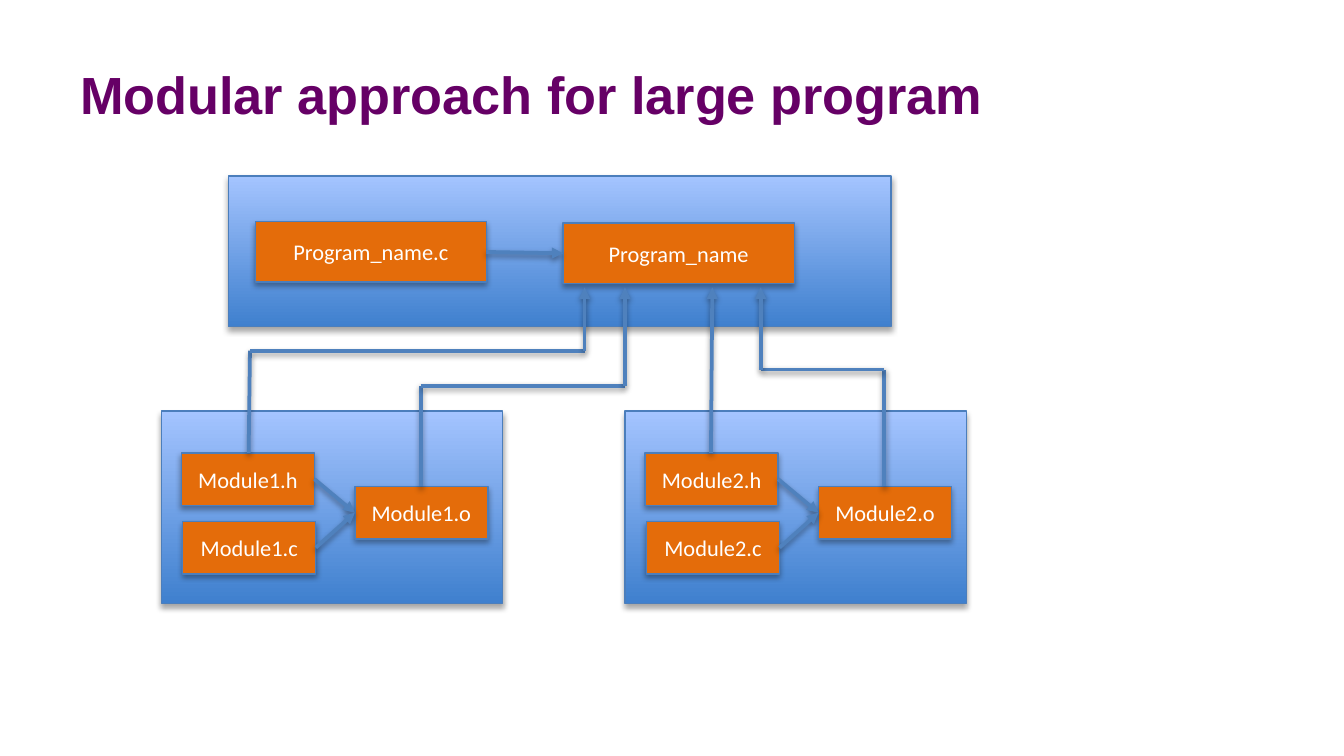
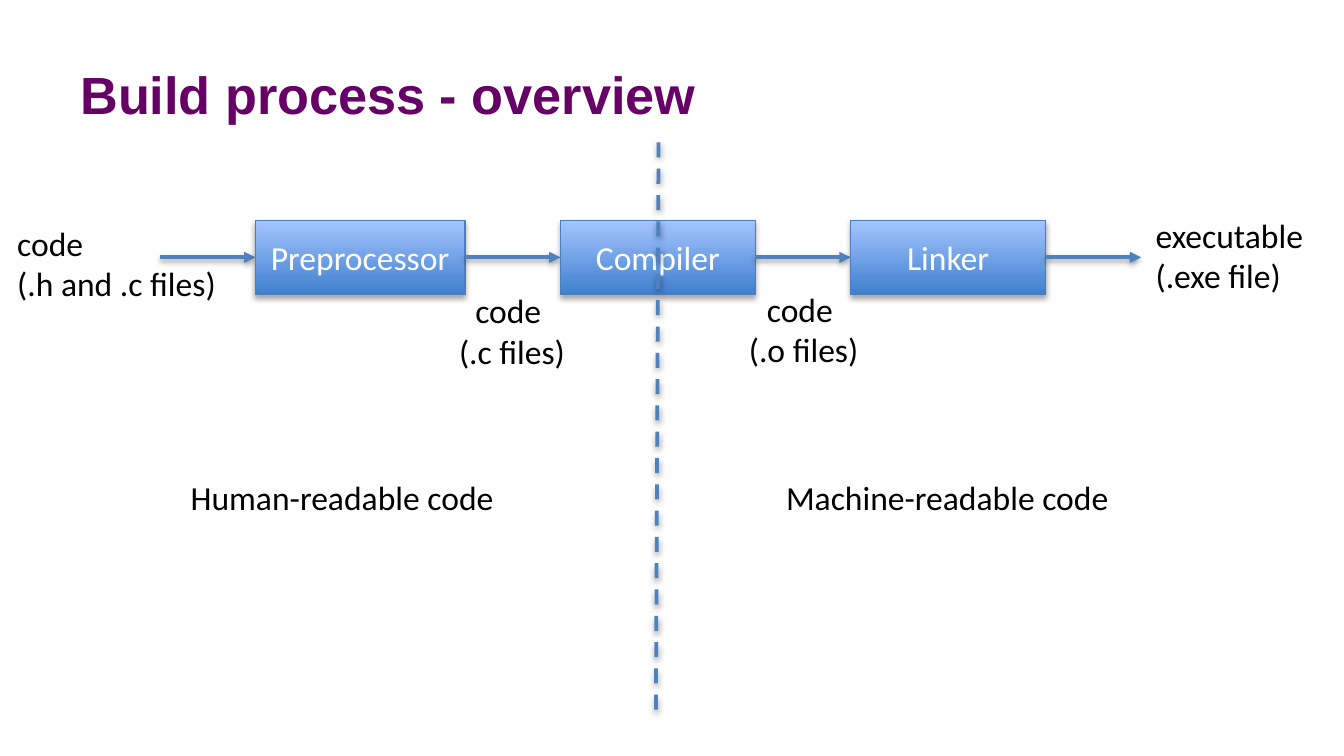
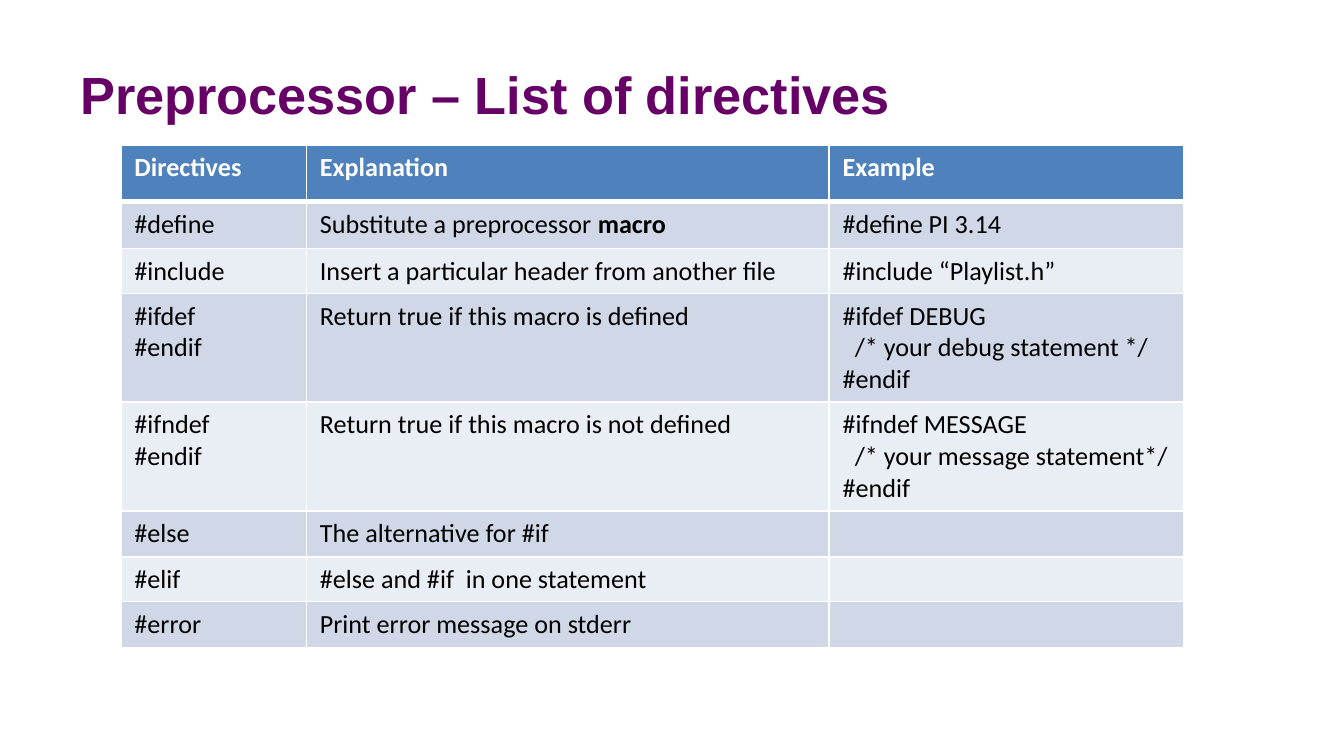
"""Build three slides on modular C programs, the build process and preprocessor directives."""
import lxml.etree
import pptx
import pptx.dml.color
import pptx.enum.dml
import pptx.enum.shapes
import pptx.enum.text
import pptx.oxml.ns
import pptx.util

Inches = pptx.util.Inches
Pt = pptx.util.Pt
RGBColor = pptx.dml.color.RGBColor
ALIGN = pptx.enum.text.PP_ALIGN
ANCHOR = pptx.enum.text.MSO_ANCHOR
RECTANGLE = pptx.enum.shapes.MSO_SHAPE.RECTANGLE
STRAIGHT = pptx.enum.shapes.MSO_CONNECTOR.STRAIGHT
qn = pptx.oxml.ns.qn

PURPLE = RGBColor(0x66, 0x00, 0x66)
ORANGE = RGBColor(0xE4, 0x6C, 0x0A)
DEEP_BLUE = RGBColor(0x3F, 0x80, 0xCE)
PALE_BLUE = RGBColor(0xA4, 0xC4, 0xFF)
OUTLINE = RGBColor(0x4B, 0x7E, 0xBC)
BLUE = RGBColor(0x4F, 0x81, 0xBD)
BAND_DARK = RGBColor(0xD0, 0xD8, 0xE8)
BAND_LIGHT = RGBColor(0xE9, 0xED, 0xF4)
WHITE = RGBColor(0xFF, 0xFF, 0xFF)
BLACK = RGBColor(0x00, 0x00, 0x00)

PROGRAM_PANEL = (1.7, 1.31, 4.93, 1.12)
PROGRAM_FILES = [("Program_name.c", 1.9, 1.65), ("Program_name", 4.19, 1.66)]
PROGRAM_FILE_SIZE = (1.72, 0.45)
MODULES = [("Module1", 1.2), ("Module2", 4.65)]
MODULE_TOP, MODULE_SIZE = 3.06, (2.54, 1.43)
MODULE_FILES = [("h", 0.15, 0.31), ("c", 0.16, 0.82), ("o", 1.44, 0.56)]
MODULE_FILE_SIZE = (0.99, 0.39)
ROUTES = [
    [(1.85, 3.37), (1.86, 2.61), (4.35, 2.61), (4.35, 2.14)],
    [(3.13, 3.62), (3.13, 2.87), (4.65, 2.87), (4.65, 2.14)],
    [(5.29, 3.37), (5.3, 2.14)],
    [(6.58, 3.62), (6.58, 2.75), (5.66, 2.75), (5.66, 2.14)],
]

STAGES = [("Preprocessor", 1.56), ("Compiler", 1.45), ("Linker", 1.45)]
STAGE_LEFT, STAGE_TOP, STAGE_HEIGHT, STAGE_GAP = 1.9, 1.64, 0.55, 0.71
CAPTIONS = [
    (["code ", "(.h and .c files)"], (0.03, 1.61, 1.73, 0.71), ALIGN.LEFT),
    (["executable ", "(.exe file)"], (8.5, 1.55, 1.45, 0.71), ALIGN.LEFT),
    (["code ", "(.c files)"], (3.24, 2.11, 1.14, 0.71), ALIGN.CENTER),
    (["code ", "(.o files)"], (5.41, 2.1, 1.14, 0.71), ALIGN.CENTER),
    (["Human-readable code"], (1.32, 3.5, 2.75, 0.4), ALIGN.LEFT),
    (["Machine-readable code"], (5.75, 3.5, 2.75, 0.4), ALIGN.LEFT),
]
DIVIDER = ((4.9, 1.06), (4.88, 5.32))

HEADERS = ["Directives", "Explanation", "Example"]
STRONG_WORD = "macro"
DIRECTIVES = [
    (["#define"], ["Substitute a preprocessor macro"], ["#define PI 3.14"]),
    (["#include"], ["Insert a particular header from another file"],
     ["#include “Playlist.h”"]),
    (["#ifdef", "#endif"], ["Return true if this macro is defined"],
     ["#ifdef DEBUG", "/* your debug statement */", "#endif"]),
    (["#ifndef", "#endif"], ["Return true if this macro is not defined"],
     ["#ifndef MESSAGE", "/* your message statement*/", "#endif"]),
    (["#else"], ["The alternative for #if"], []),
    (["#elif"], ["#else and #if  in one statement"], []),
    (["#error"], ["Print error message on stderr"], []),
]
COLUMN_WIDTHS = [1.38, 3.89, 2.64]
ROW_HEIGHTS = [0.42, 0.35, 0.33, 0.81, 0.81, 0.34, 0.33, 0.34]
CODE_INDENT = Inches(0.09)


def add_run(paragraph, text, size, color, bold=False, font="Calibri"):
    run = paragraph.add_run()
    run.text = text
    run.font.name, run.font.size, run.font.bold = font, Pt(size), bold
    run.font.color.rgb = color


def paragraphs_for(frame, lines):
    for index, line in enumerate(lines):
        yield (frame.add_paragraph() if index else frame.paragraphs[0]), line


def add_text(slide, lines, box, align=ALIGN.LEFT):
    frame = slide.shapes.add_textbox(*map(Inches, box)).text_frame
    frame.word_wrap = True
    frame.auto_size = pptx.enum.text.MSO_AUTO_SIZE.SHAPE_TO_FIT_TEXT
    for paragraph, line in paragraphs_for(frame, lines):
        paragraph.alignment = align
        add_run(paragraph, line, 18, BLACK)


def add_shadow(shape, opacity, distance):
    effects = lxml.etree.SubElement(shape._element.spPr, qn("a:effectLst"))
    shadow = lxml.etree.SubElement(effects, qn("a:outerShdw"), blurRad=str(Pt(3.1)),
                                   dist=str(Pt(distance)), dir="5400000", rotWithShape="0")
    color = lxml.etree.SubElement(shadow, qn("a:srgbClr"), val=str(BLACK))
    lxml.etree.SubElement(color, qn("a:alpha"), val=str(opacity * 1000))


def add_box(shapes, box, text="", size=12, color=None):
    shape = shapes.add_shape(RECTANGLE, *map(Inches, box))
    if color is None:
        shape.fill.gradient()
        shape.fill.gradient_angle = 90
        for stop, shade in zip(shape.fill.gradient_stops, (DEEP_BLUE, PALE_BLUE)):
            stop.color.rgb = shade
    else:
        shape.fill.solid()
        shape.fill.fore_color.rgb = color
    shape.line.color.rgb = OUTLINE
    shape.line.width = Pt(0.75)
    add_shadow(shape, 35, 1.8)
    if text:
        frame = shape.text_frame
        frame.vertical_anchor = ANCHOR.MIDDLE
        frame.paragraphs[0].alignment = ALIGN.CENTER
        add_run(frame.paragraphs[0], text, size, WHITE)


def add_line(shapes, start, end, arrow=True, dashed=False):
    connector = shapes.add_connector(STRAIGHT, *map(Inches, start + end))
    connector.line.color.rgb = BLUE
    connector.line.width = Pt(2)
    if dashed:
        connector.line.dash_style = pptx.enum.dml.MSO_LINE.DASH
    if arrow:
        outline = connector._element.spPr.find(qn("a:ln"))
        lxml.etree.SubElement(outline, qn("a:tailEnd"), type="triangle")
    add_shadow(connector, 38, 1.6)


def add_slide(presentation, title):
    slide = presentation.slides.add_slide(presentation.slide_layouts[6])
    frame = slide.shapes.add_textbox(*map(Inches, (0.5, 0.23, 9, 0.94))).text_frame
    frame.word_wrap = True
    frame.vertical_anchor = ANCHOR.MIDDLE
    add_run(frame.paragraphs[0], title, 28, PURPLE, True, "Arial")
    return slide


def add_module(slide, name, left):
    shapes = slide.shapes.add_group_shape().shapes
    add_box(shapes, (left, MODULE_TOP) + MODULE_SIZE)
    width, height = MODULE_FILE_SIZE
    places = {}
    for extension, across, down in MODULE_FILES:
        x, y = left + across, MODULE_TOP + down
        add_box(shapes, (x, y, width, height), f"{name}.{extension}", color=ORANGE)
        places[extension] = (x, y + height / 2)
    for extension in "hc":
        x, y = places[extension]
        add_line(shapes, (x + width, y), places["o"])


def build_modules(presentation):
    slide = add_slide(presentation, "Modular approach for large program")
    for name, left in MODULES:
        add_module(slide, name, left)
    add_box(slide.shapes, PROGRAM_PANEL)
    for text, left, top in PROGRAM_FILES:
        add_box(slide.shapes, (left, top) + PROGRAM_FILE_SIZE, text, color=ORANGE)
    width, height = PROGRAM_FILE_SIZE
    (_, left, top), (_, target_left, target_top) = PROGRAM_FILES
    add_line(slide.shapes, (left + width, top + height / 2),
             (target_left, target_top + height / 2))
    for route in ROUTES:
        for start, end in zip(route, route[1:]):
            add_line(slide.shapes, start, end, arrow=end == route[-1])


def build_process(presentation):
    slide = add_slide(presentation, "Build process - overview")
    middle = STAGE_TOP + STAGE_HEIGHT / 2
    left = STAGE_LEFT
    add_line(slide.shapes, (left - STAGE_GAP, middle), (left, middle))
    for text, width in STAGES:
        add_box(slide.shapes, (left, STAGE_TOP, width, STAGE_HEIGHT), text, 18)
        right = left + width
        left = right + STAGE_GAP
        add_line(slide.shapes, (right, middle), (left, middle))
    for lines, box, align in CAPTIONS:
        add_text(slide, lines, box, align)
    add_line(slide.shapes, *DIVIDER, arrow=False, dashed=True)


def fill_cell(cell, lines, fill, color, header):
    properties = cell._tc.get_or_add_tcPr()
    for side in "LRTB":
        width = 3 if header and side == "B" else 1
        border = lxml.etree.SubElement(properties, qn(f"a:ln{side}"), w=str(Pt(width)))
        solid = lxml.etree.SubElement(border, qn("a:solidFill"))
        lxml.etree.SubElement(solid, qn("a:srgbClr"), val=str(WHITE))
    cell.fill.solid()
    cell.fill.fore_color.rgb = fill
    for paragraph, line in paragraphs_for(cell.text_frame, lines):
        if line.startswith("/*"):
            paragraph._p.get_or_add_pPr().set("marL", str(CODE_INDENT))
        if line.endswith(STRONG_WORD):
            add_run(paragraph, line.removesuffix(STRONG_WORD), 14, color, header)
            add_run(paragraph, STRONG_WORD, 14, color, True)
        else:
            add_run(paragraph, line, 14, color, header)
    if not lines:
        lxml.etree.SubElement(cell.text_frame.paragraphs[0]._p, qn("a:endParaRPr"), sz="1400")


def build_directives(presentation):
    slide = add_slide(presentation, "Preprocessor – List of directives")
    rows = [[[header] for header in HEADERS]] + DIRECTIVES
    box = (0.9, 1.08, sum(COLUMN_WIDTHS), sum(ROW_HEIGHTS))
    table = slide.shapes.add_table(len(rows), len(HEADERS), *map(Inches, box)).table
    for column, width in zip(table.columns, COLUMN_WIDTHS):
        column.width = Inches(width)
    for index, (row, height) in enumerate(zip(rows, ROW_HEIGHTS)):
        table.rows[index].height = Inches(height)
        header = index == 0
        fill = BLUE if header else (BAND_LIGHT, BAND_DARK)[index % 2]
        for cell, lines in zip(table.rows[index].cells, row):
            fill_cell(cell, lines, fill, WHITE if header else BLACK, header)


presentation = pptx.Presentation()
presentation.slide_width = Inches(10)
presentation.slide_height = Inches(10) * 9 // 16
build_modules(presentation)
build_process(presentation)
build_directives(presentation)
presentation.save("out.pptx")
